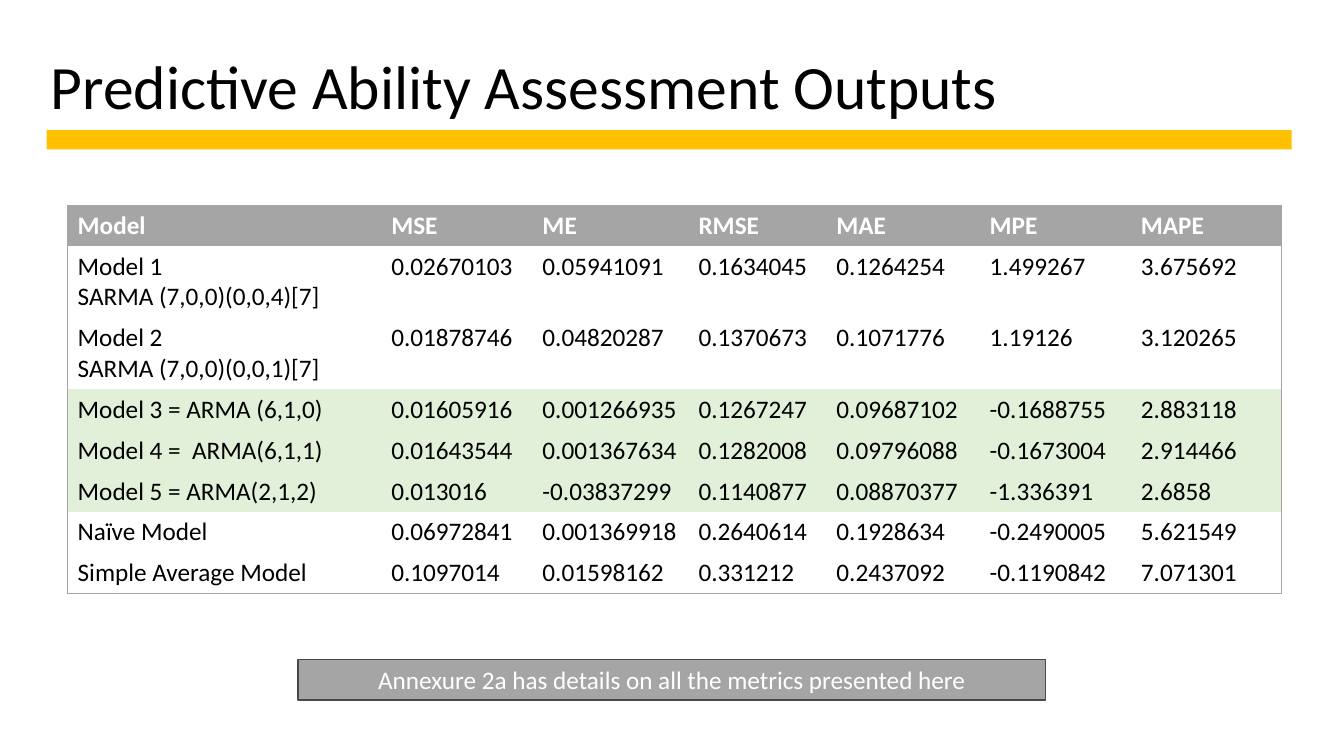
"""Build a slide with a table of forecast accuracy metrics for seven models."""
from lxml import etree
from pptx import Presentation
from pptx.dml.color import RGBColor
from pptx.enum.shapes import MSO_SHAPE
from pptx.enum.text import MSO_ANCHOR, PP_ALIGN
from pptx.oxml.ns import qn
from pptx.util import Pt

RECTANGLE = MSO_SHAPE.RECTANGLE
MIDDLE = MSO_ANCHOR.MIDDLE
LEFT, CENTER = PP_ALIGN.LEFT, PP_ALIGN.CENTER
BLACK = RGBColor(0x00, 0x00, 0x00)
WHITE = RGBColor(0xFF, 0xFF, 0xFF)
GOLD = RGBColor(0xFF, 0xC0, 0x00)
GRAY = RGBColor(0xA5, 0xA5, 0xA5)
DARK_GRAY = RGBColor(0x48, 0x48, 0x48)
PALE_GREEN = RGBColor(0xE2, 0xF0, 0xD9)

COLUMN_WIDTHS = [224, 108, 111.5, 98.5, 109.5, 108, 107.5]
LINE_HEIGHT, CELL_PADDING = 22, 7.2
HIGHLIGHTED_ROWS = (3, 4, 5)
ROWS = [
    ["Model", "MSE", "ME", "RMSE", "MAE", "MPE", "MAPE"],
    ["Model 1\nSARMA (7,0,0)(0,0,4)[7]", "0.02670103", "0.05941091", "0.1634045",
     "0.1264254", "1.499267", "3.675692"],
    ["Model 2\nSARMA (7,0,0)(0,0,1)[7]", "0.01878746", "0.04820287", "0.1370673",
     "0.1071776", "1.19126", "3.120265"],
    ["Model 3 = ARMA (6,1,0)", "0.01605916", "0.001266935", "0.1267247",
     "0.09687102", "-0.1688755", "2.883118"],
    ["Model 4 =  ARMA(6,1,1)", "0.01643544", "0.001367634", "0.1282008",
     "0.09796088", "-0.1673004", "2.914466"],
    ["Model 5 = ARMA(2,1,2)", "0.013016", "-0.03837299", "0.1140877",
     "0.08870377", "-1.336391", "2.6858"],
    ["Naïve Model", "0.06972841", "0.001369918", "0.2640614",
     "0.1928634", "-0.2490005", "5.621549"],
    ["Simple Average Model", "0.1097014", "0.01598162", "0.331212",
     "0.2437092", "-0.1190842", "7.071301"],
]


def format_text(frame, align, color, size, bold=False):
    values = {"name": "Calibri", "size": Pt(size), "bold": bold}
    for para in frame.paragraphs:
        para.alignment = align
        for span in para.runs:
            for name, value in values.items():
                setattr(span.font, name, value)
            span.font.color.rgb = color


def set_border(cell, side, visible):
    properties = cell._tc.get_or_add_tcPr()
    line = etree.SubElement(properties, qn(f"a:ln{side}"), w=str(Pt(0.5)))
    if visible:
        fill = etree.SubElement(line, qn("a:solidFill"))
        etree.SubElement(fill, qn("a:srgbClr"), val=str(GRAY))
    else:
        etree.SubElement(line, qn("a:noFill"))


deck = Presentation()
deck.slide_width, deck.slide_height = Pt(960), Pt(540)
slide = deck.slides.add_slide(deck.slide_layouts[5])

title = slide.shapes.title
title.left, title.top, title.width, title.height = Pt(29), Pt(11.5), Pt(828), Pt(104.5)
title.text_frame.text = "Predictive Ability Assessment Outputs"
title.text_frame.vertical_anchor = MIDDLE
title.text_frame.paragraphs[0].line_spacing = 0.9
format_text(title.text_frame, LEFT, BLACK, 44)

rule = slide.shapes.add_shape(RECTANGLE, Pt(33.3), Pt(93), Pt(889.4), Pt(13.8))
rule.shadow.inherit = False
rule.fill.solid()
rule.fill.fore_color.rgb = GOLD
rule.line.fill.background()

heights = [LINE_HEIGHT * (row[0].count("\n") + 1) + CELL_PADDING for row in ROWS]
table_frame = slide.shapes.add_table(
    len(ROWS), len(COLUMN_WIDTHS), Pt(48.3), Pt(146.5),
    Pt(sum(COLUMN_WIDTHS)), Pt(sum(heights)))
table = table_frame.table
table.horz_banding = False
for column, width in zip(table.columns, COLUMN_WIDTHS):
    column.width = Pt(width)

last_row, last_column = len(ROWS) - 1, len(COLUMN_WIDTHS) - 1
for row_index, row in enumerate(ROWS):
    table.rows[row_index].height = Pt(heights[row_index])
    is_header = row_index == 0
    for column_index, text in enumerate(row):
        cell = table.cell(row_index, column_index)
        cell.text = text
        format_text(cell.text_frame, LEFT, WHITE if is_header else BLACK, 18, is_header)
        outer_sides = {
            "L": column_index == 0,
            "R": column_index == last_column,
            "T": is_header,
            "B": row_index == last_row,
        }
        for side, visible in outer_sides.items():
            set_border(cell, side, visible)
        if is_header or row_index in HIGHLIGHTED_ROWS:
            cell.fill.solid()
            cell.fill.fore_color.rgb = GRAY if is_header else PALE_GREEN
        else:
            cell.fill.background()

note = slide.shapes.add_shape(RECTANGLE, Pt(213), Pt(471), Pt(533.8), Pt(29))
note.shadow.inherit = False
note.fill.solid()
note.fill.fore_color.rgb = GRAY
note.line.color.rgb = DARK_GRAY
note.line.width = Pt(1)
note.text_frame.word_wrap = True
note.text_frame.vertical_anchor = MIDDLE
note.text_frame.text = "Annexure 2a has details on all the metrics presented here"
format_text(note.text_frame, CENTER, WHITE, 18)

deck.save("out.pptx")
